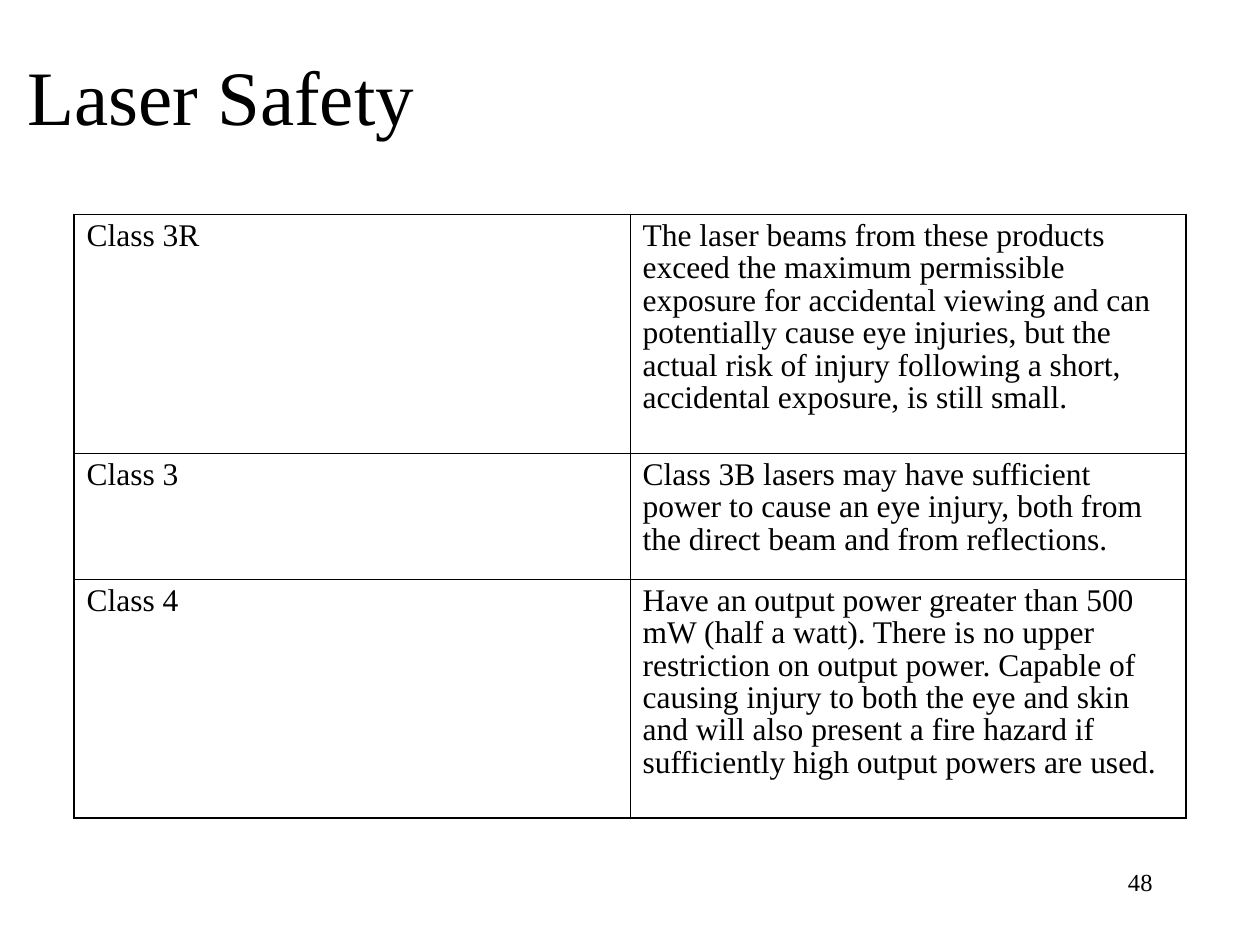
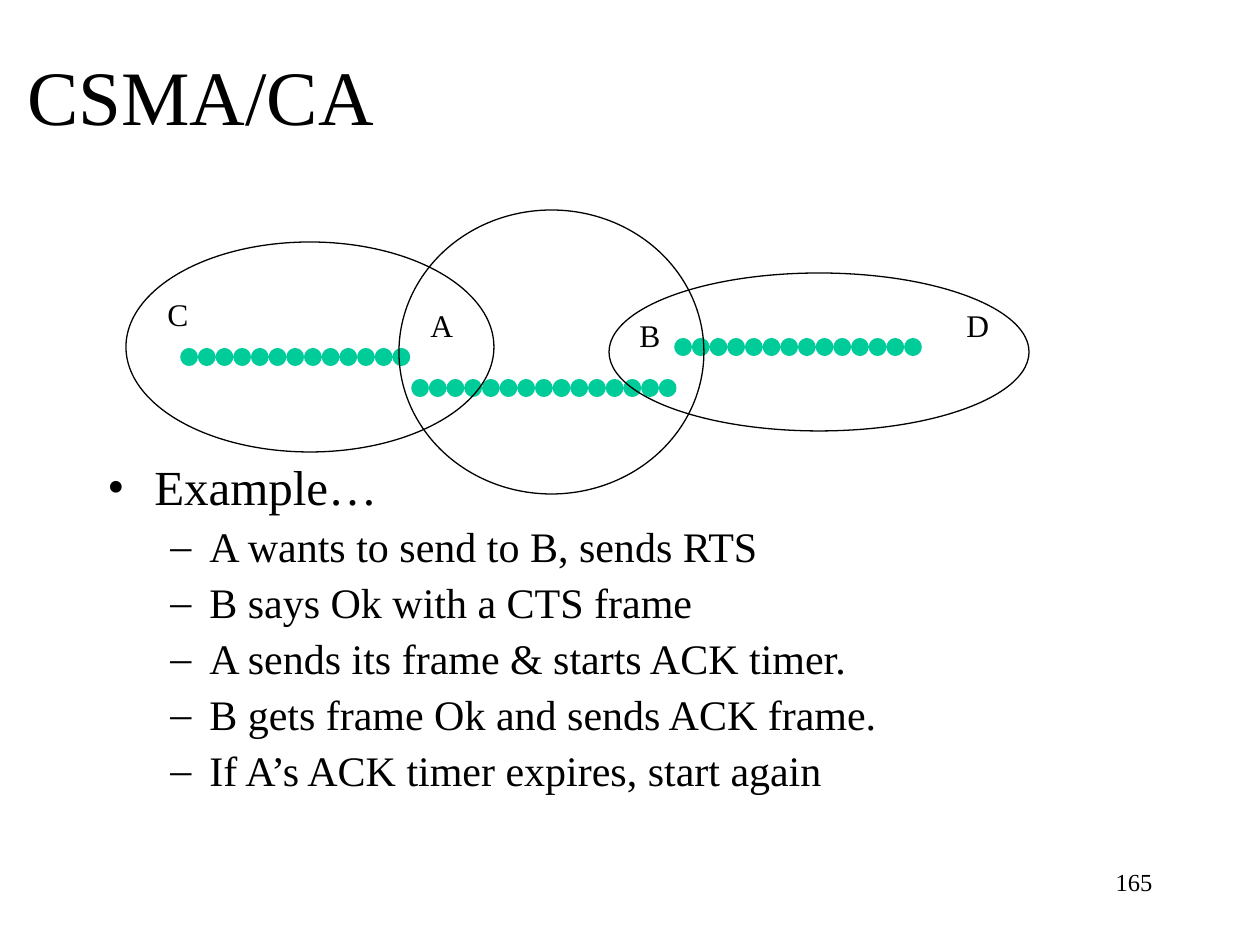
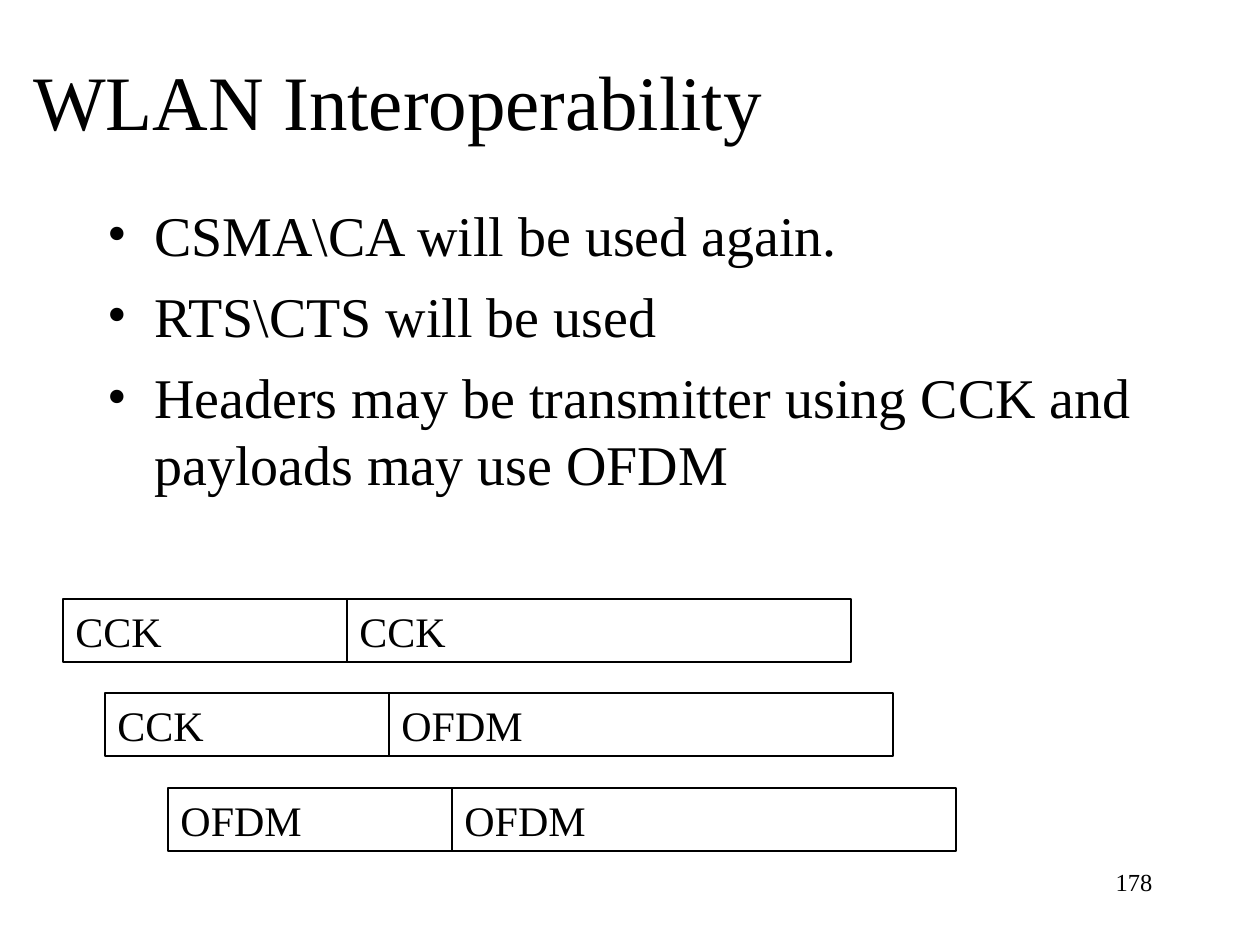
from lxml import etree
from pptx import Presentation
from pptx.dml.color import RGBColor
from pptx.enum.shapes import MSO_CONNECTOR as Connector, MSO_SHAPE as Shape
from pptx.enum.text import MSO_ANCHOR as Anchor, MSO_AUTO_SIZE as AutoSize, PP_ALIGN as Align
from pptx.oxml.ns import qn
from pptx.util import Emu, Pt

EMU_PER_PX = 914400 / 126
COLORS = {"ink": "000000", "signal": "00CC99", "paper": "FFFFFF"}
FONT = "Times New Roman"
TITLE_BOX = (15, 16, 1071, 158)
NUMBER_BOX = (903, 861, 262, 63)
BULLETS = [("•", 47, -47), ("–", 102, -39)]

LASER_CLASSES = [
    ("Class 3R", "The laser beams from these products exceed the maximum permissible exposure for "
     "accidental viewing and can potentially cause eye injuries, but the actual risk of injury "
     "following a short, accidental exposure, is still small."),
    ("Class 3", "Class 3B lasers may have sufficient power to cause an eye injury, both from the "
     "direct beam and from reflections."),
    ("Class 4", "Have an output power greater than 500 mW (half a watt). There is no upper "
     "restriction on output power. Capable of causing injury to both the eye and skin and will "
     "also present a fire hazard if sufficiently high output powers are used."),
]
EXAMPLE_STEPS = [
    (0, "Example…", 28, 7),
    (1, "A wants to send to B, sends RTS", 24, 6),
    (1, "B says Ok with a CTS frame", 24, 6),
    (1, "A sends its frame & starts ACK timer.", 24, 6),
    (1, "B gets frame Ok and sends ACK frame.", 24, 6),
    (1, "If A’s ACK timer expires, start again", 24, 6),
]
INTEROPERABILITY_POINTS = [
    (0, "CSMA\\CA will be used again.", 32, 8),
    (0, "RTS\\CTS will be used", 32, 8),
    (0, "Headers may be transmitter using CCK and payloads may use OFDM", 32, 8),
]
SIGNALS = [(189, 410, 357), (420, 672, 388), (683, 914, 347)]
STATIONS = [("C", 155, 289, 45), ("A", 418, 300, 48), ("B", 627, 310, 45), ("D", 954, 300, 48)]
RANGES = [(126, 242, 368, 210), (609, 273, 420, 158), (399, 210, 305, 284)]
FRAMES = [(63, 599, "CCK", "CCK"), (105, 693, "CCK", "OFDM"), (168, 788, "OFDM", "OFDM")]
HEADER_WIDTH, PAYLOAD_WIDTH, FRAME_HEIGHT = 284, 504, 63


def px(*lengths):
    """Turn pixel lengths into EMU."""
    return [Emu(round(length * EMU_PER_PX)) for length in lengths]


def color(name):
    """Look up a named colour."""
    return RGBColor.from_string(COLORS[name])


def style_runs(paragraph, size):
    """Give every run of a paragraph the deck's font."""
    for run in paragraph.runs:
        run.font.name = FONT
        run.font.size = Pt(size)
        run.font.color.rgb = color("ink")


def add_text(slide, box, text, size, align=Align.LEFT, anchor=Anchor.TOP, wrap=True):
    """Add a one-paragraph text box."""
    text_frame = slide.shapes.add_textbox(*px(*box)).text_frame
    text_frame.word_wrap = wrap
    text_frame.auto_size = AutoSize.NONE if wrap else AutoSize.SHAPE_TO_FIT_TEXT
    text_frame.vertical_anchor = anchor
    text_frame.text = text
    text_frame.paragraphs[0].alignment = align
    style_runs(text_frame.paragraphs[0], size)


def add_slide(presentation, title, number, title_box=TITLE_BOX):
    """Add a blank slide with its title and page number."""
    slide = presentation.slides.add_slide(presentation.slide_layouts[6])
    add_text(slide, title_box, title, 44, anchor=Anchor.MIDDLE)
    add_text(slide, NUMBER_BOX, str(number), 14, align=Align.RIGHT)
    return slide


def set_bullet(paragraph, level):
    """Give a paragraph the bullet and hanging indent of its level."""
    mark, margin, indent = BULLETS[level]
    paragraph.level = level
    properties = paragraph._p.get_or_add_pPr()
    left, hanging = px(margin, indent)
    properties.set("marL", str(left))
    properties.set("indent", str(hanging))
    bullet_color = etree.SubElement(properties, qn("a:buClr"))
    etree.SubElement(bullet_color, qn("a:srgbClr"), val=COLORS["ink"])
    etree.SubElement(properties, qn("a:buFont"), typeface=FONT)
    etree.SubElement(properties, qn("a:buChar"), char=mark)


def add_bullets(slide, box, items, line_spacing):
    """Add a bulleted list of (level, text, size, space before) items."""
    text_frame = slide.shapes.add_textbox(*px(*box)).text_frame
    text_frame.word_wrap = True
    for index, (level, text, size, space_before) in enumerate(items):
        paragraph = text_frame.add_paragraph() if index else text_frame.paragraphs[0]
        paragraph.text = text
        set_bullet(paragraph, level)
        paragraph.line_spacing = line_spacing
        paragraph.space_before = Pt(space_before if index else 0)
        style_runs(paragraph, size)


def set_borders(cell, widths):
    """Draw the left, right, top and bottom borders of a cell."""
    properties = cell._tc.get_or_add_tcPr()
    for index, (side, width) in enumerate(zip("LRTB", widths)):
        line = etree.Element(qn(f"a:ln{side}"), w=str(Pt(width)))
        fill = etree.SubElement(line, qn("a:solidFill"))
        etree.SubElement(fill, qn("a:srgbClr"), val=COLORS["ink"])
        properties.insert(index, line)


def add_class_table(slide, rows):
    """Add the ruled table of laser classes."""
    frame = slide.shapes.add_table(len(rows), 2, *px(74, 214, 1112, 605))
    table = frame.table
    table.first_row = table.horz_banding = False
    for row, height in zip(table.rows, px(239, 126, 239)):
        row.height = height
    thick, thin = 1.08, 0.45
    for row_index, texts in enumerate(rows):
        bottom = thick if row_index == len(rows) - 1 else thin
        for column_index, text in enumerate(texts):
            cell = table.cell(row_index, column_index)
            cell.text_frame.text = text
            paragraph = cell.text_frame.paragraphs[0]
            paragraph.line_spacing = 0.93
            style_runs(paragraph, 18)
            cell.fill.background()
            sides = (thin, thick) if column_index else (thick, thin)
            set_borders(cell, (*sides, thin, bottom))


def add_signal(slide, start, end, y):
    """Add a row of round dots between two stations."""
    connector = slide.shapes.add_connector(Connector.STRAIGHT, *px(start, y, end, y))
    connector.line.color.rgb = color("signal")
    connector.line.width = Pt(10)
    line = connector.line._get_or_add_ln()
    line.set("cap", "rnd")
    dashes = etree.SubElement(line, qn("a:custDash"))
    etree.SubElement(dashes, qn("a:ds"), d="1000", sp="100000")
    etree.SubElement(line, qn("a:round"))
    etree.SubElement(connector._element.spPr, qn("a:effectLst"))


def add_outline(slide, kind, box):
    """Add an unfilled shape with a thin line."""
    shape = slide.shapes.add_shape(kind, *px(*box))
    shape.shadow.inherit = False
    shape.fill.background()
    shape.line.color.rgb = color("ink")
    shape.line.width = Pt(0.75)
    return shape


def add_frame_part(slide, box, text):
    """Add one labelled part of a transmitted frame."""
    text_frame = add_outline(slide, Shape.RECTANGLE, box).text_frame
    text_frame.word_wrap = True
    text_frame.vertical_anchor = Anchor.TOP
    text_frame.text = text
    text_frame.paragraphs[0].alignment = Align.LEFT
    style_runs(text_frame.paragraphs[0], 24)


def build_laser_safety(presentation):
    """Build the slide on laser classes."""
    slide = add_slide(presentation, "Laser Safety", 48)
    add_class_table(slide, LASER_CLASSES)


def build_csma(presentation):
    """Build the slide on overlapping radio ranges."""
    slide = add_slide(presentation, "CSMA/CA", 165)
    add_bullets(slide, (95, 457, 1071, 383), EXAMPLE_STEPS, 0.9)
    for signal in SIGNALS:
        add_signal(slide, *signal)
    for name, left, top, width in STATIONS:
        add_text(slide, (left, top, width, 50), name, 18, wrap=False)
    for radio_range in RANGES:
        add_outline(slide, Shape.OVAL, radio_range)


def build_interoperability(presentation):
    """Build the slide on mixed header and payload modulation."""
    slide = add_slide(presentation, "WLAN Interoperability", 178, (21, 21, 977, 158))
    add_bullets(slide, (95, 194, 1071, 359), INTEROPERABILITY_POINTS, 1.0)
    for left, top, header, payload in FRAMES:
        add_frame_part(slide, (left, top, HEADER_WIDTH, FRAME_HEIGHT), header)
        add_frame_part(slide, (left + HEADER_WIDTH, top, PAYLOAD_WIDTH, FRAME_HEIGHT), payload)


def main():
    """Build and save the presentation."""
    presentation = Presentation()
    presentation.slide_width, presentation.slide_height = px(1260, 945)
    background = presentation.slide_master.background.fill
    background.solid()
    background.fore_color.rgb = color("paper")
    build_laser_safety(presentation)
    build_csma(presentation)
    build_interoperability(presentation)
    presentation.save("out.pptx")


if __name__ == "__main__":
    main()
